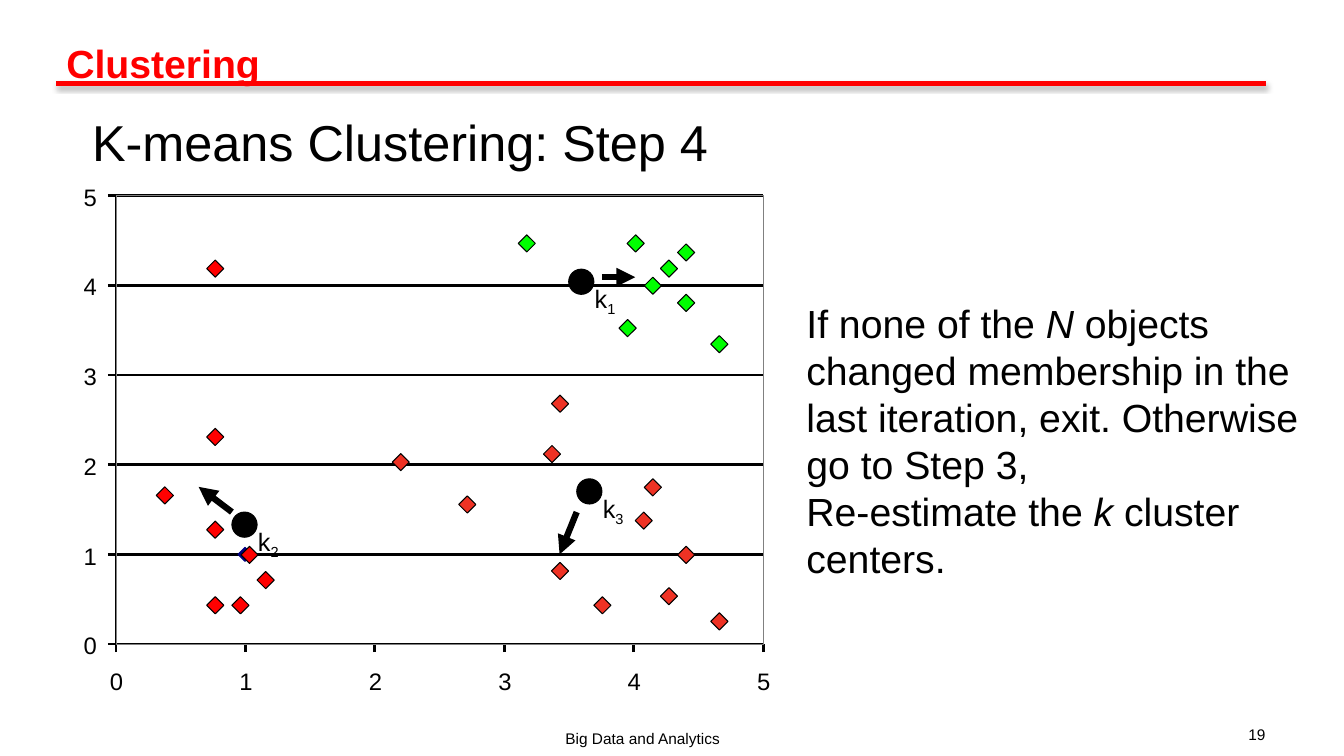
import pptx
import pptx.util
import pptx.dml.color
import pptx.enum.shapes
import pptx.enum.text
import pptx.oxml
import pptx.oxml.ns

Inches = pptx.util.Inches
Pt = pptx.util.Pt
SHAPES = pptx.enum.shapes.MSO_SHAPE
ALIGN = pptx.enum.text.PP_ALIGN
ANCHOR = pptx.enum.text.MSO_ANCHOR
NS = pptx.oxml.ns.nsdecls("a")

deck = pptx.Presentation()
deck.slide_width, deck.slide_height = Inches(13.33), Inches(7.5)
slide = deck.slides.add_slide(deck.slide_layouts[6])


def color(value):
    return pptx.dml.color.RGBColor.from_string(value)


def add_text(paragraphs, left, top, width, height, size=18, ink="000000", bold=False,
             align=ALIGN.LEFT, anchor=ANCHOR.TOP, margin=None, spacing=None):
    frame = slide.shapes.add_textbox(Inches(left), Inches(top), Inches(width), Inches(height)).text_frame
    frame.word_wrap = True
    frame.vertical_anchor = anchor
    if margin is not None:
        frame.margin_left = frame.margin_right = frame.margin_top = frame.margin_bottom = Inches(margin)
    for index, pieces in enumerate(paragraphs):
        paragraph = frame.add_paragraph() if index else frame.paragraphs[0]
        paragraph.alignment = align
        paragraph.line_spacing = spacing
        for words, style in pieces:
            run = paragraph.add_run()
            run.text = words
            run.font.name, run.font.size, run.font.bold = "Arial", Pt(size), bold
            run.font.color.rgb = color(ink)
            if style == "italic":
                run.font.italic = True
            elif style == "subscript":
                run.font._element.set("baseline", "-25000")


strokes = []
strokes.append((0.56, 0.83, 12.56, 0.83, "FF0000", 4, "shadow"))

plot_left, plot_top, plot_width, plot_height = 1.15, 1.94, 6.42, 4.45
plot_right, plot_bottom = plot_left + plot_width, plot_top + plot_height
step_x, step_y = plot_width / 5, plot_height / 5
for value in range(6):
    y = plot_bottom - value * step_y
    x = plot_left + value * step_x
    strokes.append((plot_left - 0.08, y, plot_right, y, "000000", 0, "plain"))
    strokes.append((x, plot_bottom + 0.08, x, plot_bottom, "000000", 0, "plain"))
    add_text([[(str(value), "")]], 0.83, y - 0.13, 0.23, 0.31, size=17, margin=0)
    add_text([[(str(value), "")]], x - 0.06, 6.61, 0.23, 0.31, size=17, margin=0)
strokes.append((plot_left, plot_top, plot_left, plot_bottom, "000000", 0, "plain"))

for move in [(2.3, 5.08, 1.97, 4.83), (5.72, 5.08, 5.55, 5.5), (5.97, 2.75, 6.3, 2.75)]:
    strokes.append((*move, "000000", 4.5, "arrow"))

frame_color = "808080"
marks = [(SHAPES.RECTANGLE, plot_left, plot_top, plot_width, plot_height, None, frame_color, 0.63),
         (SHAPES.DIAMOND, 2.36, 5.43, 0.14, 0.14, "000080", "000080", 0.63)]

centers = [("1", 5.64, 2.67), ("2", 2.3, 5.08), ("3", 5.72, 4.75)]
for number, left, top in centers:
    marks.append((SHAPES.OVAL, left, top, 0.25, 0.25, "000000", "000000", 0.75))
    add_text([[("k", ""), (number, "subscript")]], left + 0.16, top + 0.09, 0.58, 0.5)

clusters = {
    "FF0000": [(2.39, 5.42), (2.55, 5.67), (2.3, 5.92), (2.05, 5.17), (2.05, 2.58),
               (2.05, 4.25), (2.05, 5.92), (1.55, 4.83)],
    "00FF00": [(6.22, 2.33), (6.72, 2.42), (6.55, 2.58), (6.39, 2.75), (6.72, 2.92),
               (7.05, 3.33), (5.14, 2.33), (6.14, 3.17)],
    "EE3224": [(3.89, 4.5), (5.47, 3.92), (5.47, 5.58), (5.89, 5.92), (6.3, 5.08), (5.39, 4.42),
               (4.55, 4.92), (6.72, 5.42), (6.55, 5.83), (6.39, 4.75), (7.05, 6.08)],
}
for fill, points in clusters.items():
    for left, top in points:
        marks.append((SHAPES.DIAMOND, left, top, 0.17, 0.17, fill, "000000", 0.75))

for x1, y1, x2, y2, ink, weight, kind in strokes:
    stroke = slide.shapes.add_connector(pptx.enum.shapes.MSO_CONNECTOR.STRAIGHT,
                                        Inches(x1), Inches(y1), Inches(x2), Inches(y2))
    stroke.line.color.rgb = color(ink)
    stroke.line.width = Pt(weight)
    if kind == "arrow":
        stroke.line._get_or_add_ln().append(pptx.oxml.parse_xml(f'<a:tailEnd {NS} type="triangle"/>'))
    shadow = ""
    if kind == "shadow":
        shadow = ('<a:outerShdw blurRad="39370" dist="22860" dir="5400000" rotWithShape="0">'
                  '<a:srgbClr val="000000"><a:alpha val="35000"/></a:srgbClr></a:outerShdw>')
    stroke._element.spPr.append(pptx.oxml.parse_xml(f"<a:effectLst {NS}>{shadow}</a:effectLst>"))

for preset, left, top, width, height, fill, outline, weight in marks:
    mark = slide.shapes.add_shape(preset, Inches(left), Inches(top), Inches(width), Inches(height))
    mark.shadow.inherit = False
    if fill:
        mark.fill.solid()
        mark.fill.fore_color.rgb = color(fill)
    else:
        mark.fill.background()
    mark.line.color.rgb = color(outline)
    mark.line.width = Pt(weight)

add_text([[("Clustering", "")]], 0.56, 0.34, 12, 0.6, size=28, ink="FF0000", bold=True)
add_text([[("K-means Clustering: Step 4", "")]], -0.28, 1.11, 8.5, 0.58, size=36,
         align=ALIGN.CENTER, anchor=ANCHOR.MIDDLE)
add_text([[("If none of the ", ""), ("N", "italic"),
           (" objects changed membership in the last iteration, exit. Otherwise go to Step 3,", "")],
          [("Re-estimate the ", ""), ("k", "italic"), (" cluster centers.", "")]],
         7.9, 2.92, 5.1, 2.93, size=28, spacing=Pt(33.6))
add_text([[("Big Data and Analytics", "")]], 3.58, 7.18, 5.59, 0.24, size=11, align=ALIGN.CENTER)
add_text([[("19", "")]], 9.54, 7.14, 3.11, 0.24, size=11, align=ALIGN.RIGHT)

deck.save("out.pptx")
